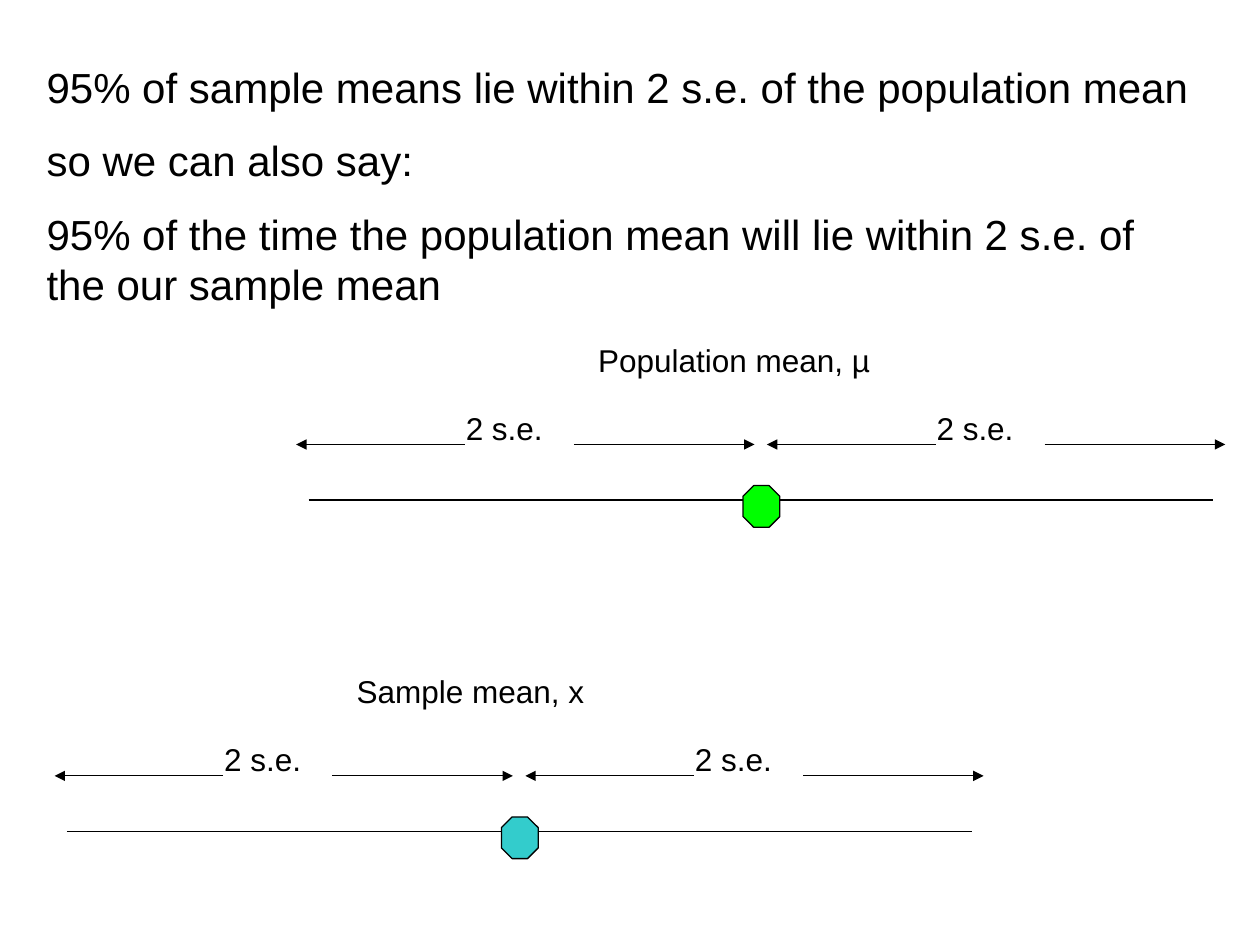
from lxml.etree import SubElement
from pptx import Presentation
from pptx.dml.color import RGBColor
from pptx.enum.shapes import MSO_CONNECTOR as Connector, MSO_SHAPE as Shape
from pptx.enum.text import MSO_AUTO_SIZE as AutoSize
from pptx.oxml.ns import qn
from pptx.util import Cm, Pt

BLACK = RGBColor(0x00, 0x00, 0x00)
GREEN = RGBColor(0x00, 0xFF, 0x00)
TURQUOISE = RGBColor(0x33, 0xCC, 0xCC)
LINE_WIDTH = Pt(0.75)
HALF_PITCH = 9.49

STATEMENTS = [
    "95% of sample means lie within 2 s.e. of the population mean",
    "so we can also say:",
    "95% of the time the population mean will lie within 2 s.e. of the our sample mean",
]
DIAGRAMS = [
    {"label": "Sample mean, x", "color": TURQUOISE, "left": 1.35, "axis": 16.76},
    {"label": "Population mean, µ", "color": GREEN, "left": 6.22, "axis": 10.08},
]


def set_format(target, values):
    """Set each attribute named in values on the target."""
    for name, value in values.items():
        setattr(target, name, value)


def add_text(shapes, lines, left, top, width, height, size):
    """Add a wrapping text box with one paragraph per line."""
    frame = shapes.add_textbox(Cm(left), Cm(top), Cm(width), Cm(height)).text_frame
    set_format(frame, {"word_wrap": True, "auto_size": AutoSize.SHAPE_TO_FIT_TEXT})
    for index, line in enumerate(lines):
        paragraph = frame.add_paragraph() if index else frame.paragraphs[0]
        paragraph.space_before = Pt(13 if index else 0)
        run = paragraph.add_run()
        run.text = line
        set_format(run.font, {"name": "Arial", "size": Pt(size)})
        run.font.color.rgb = BLACK


def add_line(shapes, start, end, y, arrow=False):
    """Add a horizontal line, with an arrowhead at its end if wanted."""
    connector = shapes.add_connector(Connector.STRAIGHT, Cm(start), Cm(y), Cm(end), Cm(y))
    connector.line.width = LINE_WIDTH
    connector.line.color.rgb = BLACK
    if arrow:
        SubElement(connector.line._get_or_add_ln(), qn("a:tailEnd"), type="triangle")
    SubElement(connector._element.spPr, qn("a:effectLst"))


def add_marker(shapes, left, top, color):
    """Add the octagon that marks a mean on its axis."""
    marker = shapes.add_shape(Shape.OCTAGON, Cm(left), Cm(top), Cm(0.74), Cm(0.84))
    marker.adjustments[0] = 0.29
    marker.shadow.inherit = False
    marker.fill.solid()
    marker.fill.fore_color.rgb = color
    marker.line.width = LINE_WIDTH
    marker.line.color.rgb = BLACK


def add_diagram(slide, label, color, left, axis):
    """Add a grouped axis with its mean and a two s.e. span on each side."""
    shapes = slide.shapes.add_group_shape().shapes
    add_line(shapes, left, left + 18.24, axis)
    add_marker(shapes, left + 8.76, axis - 0.29, color)
    add_text(shapes, [label], left + 5.59, axis - 3.33, 9.73, 1.02, 18)
    for side in range(2):
        start = left + side * HALF_PITCH
        add_line(shapes, start + 5.35, start + 8.99, axis - 1.12, arrow=True)
        add_line(shapes, start + 3.15, start - 0.25, axis - 1.12, arrow=True)
        add_text(shapes, ["2 s.e."], start + 2.92, axis - 1.96, 2.92, 1.02, 18)


def main():
    """Build the slide and save it."""
    presentation = Presentation()
    set_format(presentation, {"slide_width": Cm(25.4), "slide_height": Cm(19.05)})
    slide = presentation.slides.add_slide(presentation.slide_layouts[6])
    add_text(slide.shapes, STATEMENTS, 0.69, 1.12, 23.8, 5.33, 24)
    for diagram in DIAGRAMS:
        add_diagram(slide, **diagram)
    presentation.save("out.pptx")


if __name__ == "__main__":
    main()
